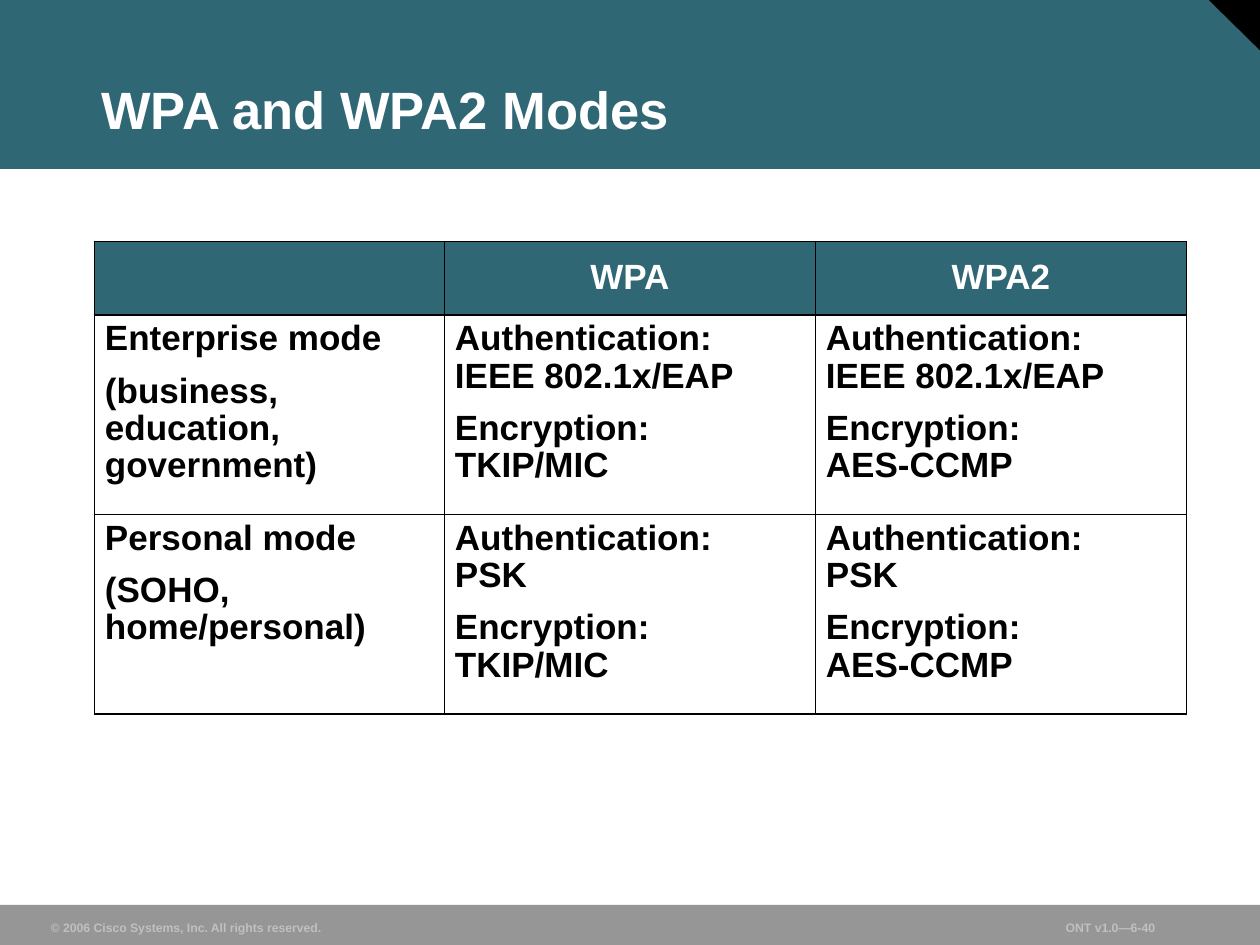
"""Build the WPA and WPA2 modes slide."""
from dataclasses import dataclass

from lxml.etree import SubElement
from pptx import Presentation
from pptx.dml.color import RGBColor
from pptx.enum.shapes import MSO_SHAPE
from pptx.enum.text import MSO_ANCHOR, PP_ALIGN
from pptx.oxml.ns import qn
from pptx.util import Pt

COLOURS = {
    "teal": "306774",
    "black": "000000",
    "white": "FFFFFF",
    "footer": "969696",
    "footer_text": "C0C0C0",
}
FONT = "Arial"
BORDER_WIDTH = Pt(1.08)


@dataclass(frozen=True)
class Area:
    left: float
    top: float
    width: float
    height: float

    def lengths(self) -> tuple:
        return Pt(self.left), Pt(self.top), Pt(self.width), Pt(self.height)


@dataclass(frozen=True)
class Panel:
    preset: MSO_SHAPE
    area: Area
    colour: str
    rotation: float = 0


@dataclass(frozen=True)
class Label:
    text: str
    area: Area
    size: float
    colour: str
    wrap: bool = False
    spacing: float = 1.0


@dataclass(frozen=True)
class Mode:
    name: str
    audience: str
    authentication: str


PANELS = (
    Panel(MSO_SHAPE.RECTANGLE, Area(0, 0, 720, 96.5), "teal"),
    Panel(MSO_SHAPE.RIGHT_TRIANGLE, Area(690, -0.7, 30, 29.5), "black", 180),
    Panel(MSO_SHAPE.RECTANGLE, Area(0, 517, 720, 23.5), "footer"),
)
LABELS = (
    Label("© 2006 Cisco Systems, Inc. All rights reserved.",
          Area(22.5, 522.7, 168, 15), 7, "footer_text"),
    Label("ONT v1.0—6-40", Area(602.5, 522.7, 90, 15), 7, "footer_text"),
    Label("WPA and WPA2 Modes", Area(51.5, 18, 641.5, 66), 30, "white", True, 0.9),
)
TABLE_AREA = Area(54, 138, 624, 270)
COLUMN_WIDTHS = (200, 212, 212)
ROW_HEIGHTS = (42, 114, 114)
ENCRYPTIONS = {"WPA": "TKIP/MIC", "WPA2": "AES-CCMP"}
MODES = (
    Mode("Enterprise mode", "(business, education, government)", "IEEE 802.1x/EAP"),
    Mode("Personal mode", "(SOHO, home/personal)", "PSK"),
)


def colour_of(name: str) -> RGBColor:
    """Return the named colour."""
    return RGBColor.from_string(COLOURS[name])


def add_span(para, text: str, size: float, colour: str) -> None:
    """Add one bold run to a paragraph."""
    span = para.add_run()
    span.text = text
    span.font.name = FONT
    span.font.size = Pt(size)
    span.font.bold = True
    span.font.color.rgb = colour_of(colour)


def draw_panel(page, panel: Panel) -> None:
    """Draw a plain filled shape."""
    shape = page.shapes.add_shape(panel.preset, *panel.area.lengths())
    shape.shadow.inherit = False
    shape.rotation = panel.rotation
    shape.fill.solid()
    shape.fill.fore_color.rgb = colour_of(panel.colour)
    shape.line.fill.background()


def draw_label(page, label: Label) -> None:
    """Draw a one-line text box resting on its bottom edge."""
    frame = page.shapes.add_textbox(*label.area.lengths()).text_frame
    frame.word_wrap = label.wrap
    frame.vertical_anchor = MSO_ANCHOR.BOTTOM
    frame.margin_left = frame.margin_right = Pt(6.5)
    frame.margin_top = frame.margin_bottom = Pt(3.2)
    para = frame.paragraphs[0]
    para.line_spacing = label.spacing
    add_span(para, label.text, label.size, label.colour)


def add_borders(cell) -> None:
    """Give all four sides of a cell a black line."""
    properties = cell._tc.get_or_add_tcPr()
    for side in ("lnL", "lnR", "lnT", "lnB"):
        line = SubElement(properties, qn(f"a:{side}"), w=str(BORDER_WIDTH))
        fill = SubElement(line, qn("a:solidFill"))
        SubElement(fill, qn("a:srgbClr"), val=COLOURS["black"])


def fill_cell(cell, entries: tuple[str, ...], header: bool) -> None:
    """Style a cell and write one paragraph per entry."""
    add_borders(cell)
    cell.margin_left = cell.margin_right = Pt(6)
    cell.margin_top = cell.margin_bottom = Pt(3.6)
    cell.vertical_anchor = MSO_ANCHOR.MIDDLE if header else MSO_ANCHOR.TOP
    if header:
        cell.fill.solid()
        cell.fill.fore_color.rgb = colour_of("teal")
    else:
        cell.fill.background()
    frame = cell.text_frame
    for index, entry in enumerate(entries):
        para = frame.add_paragraph() if index else frame.paragraphs[0]
        para.alignment = PP_ALIGN.CENTER if header else PP_ALIGN.LEFT
        para.line_spacing = 0.95
        if index:
            para.space_before = Pt(8.8)
        for number, line in enumerate(entry.splitlines()):
            if number:
                para.add_line_break()
            add_span(para, line, 20, "white" if header else "black")


def table_rows() -> list[list[tuple[str, ...]]]:
    """Return the paragraphs of every cell, row by row."""
    rows = [[(), *((standard,) for standard in ENCRYPTIONS)]]
    for mode in MODES:
        details = [
            (f"Authentication:\n{mode.authentication}", f"Encryption:\n{encryption}")
            for encryption in ENCRYPTIONS.values()
        ]
        rows.append([(mode.name, mode.audience), *details])
    return rows


def draw_table(page) -> None:
    """Draw the comparison of the two standards."""
    table = page.shapes.add_table(
        len(ROW_HEIGHTS), len(COLUMN_WIDTHS), *TABLE_AREA.lengths()).table
    table.horz_banding = False
    table.first_row = False
    for column, width in zip(table.columns, COLUMN_WIDTHS):
        column.width = Pt(width)
    for row, height in zip(table.rows, ROW_HEIGHTS):
        row.height = Pt(height)
    for row_index, row in enumerate(table_rows()):
        for column_index, entries in enumerate(row):
            fill_cell(table.cell(row_index, column_index), entries, row_index == 0)


def main() -> None:
    """Build and save the deck."""
    deck = Presentation()
    deck.slide_width, deck.slide_height = Pt(720), Pt(540)
    page = deck.slides.add_slide(deck.slide_layouts[6])
    for panel in PANELS:
        draw_panel(page, panel)
    for label in LABELS:
        draw_label(page, label)
    draw_table(page)
    deck.save("out.pptx")


if __name__ == "__main__":
    main()
